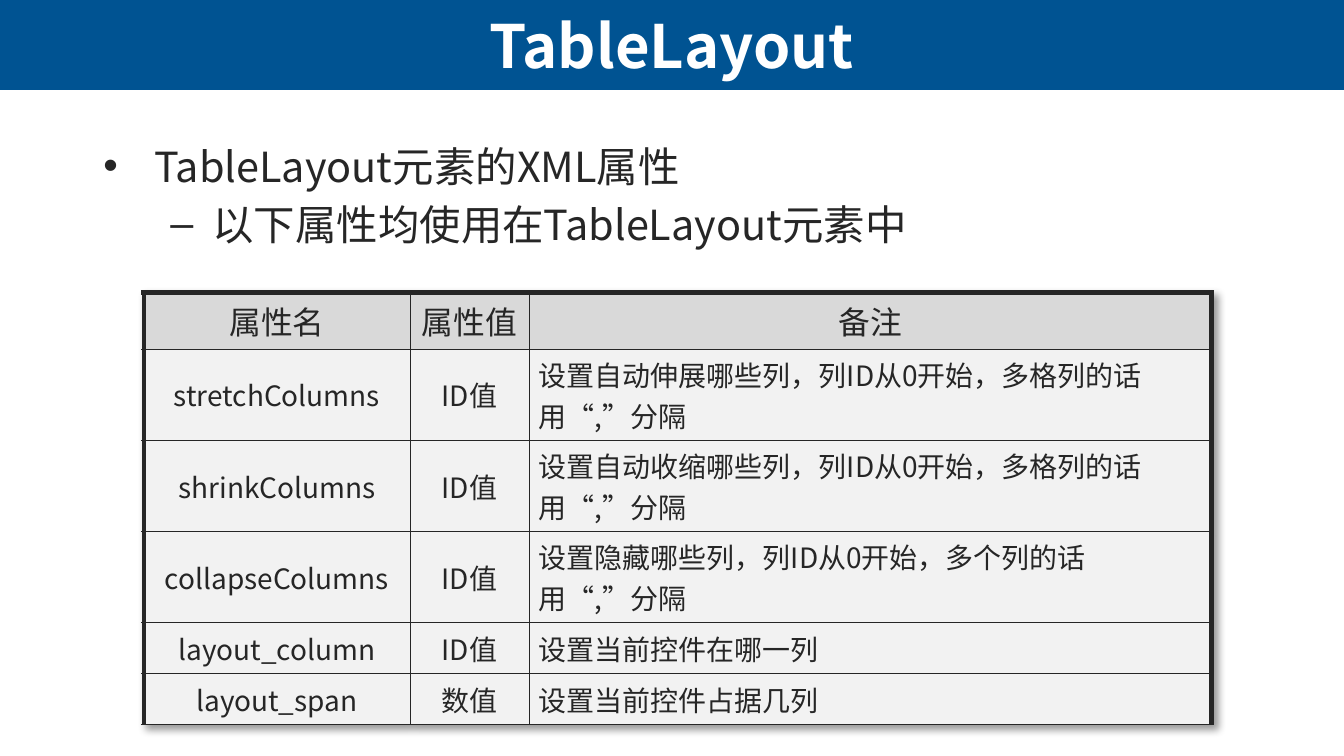
"""Build a slide that lists the XML attributes of TableLayout in a table."""
from dataclasses import dataclass

from lxml import etree
from pptx import Presentation
from pptx.dml.color import RGBColor
from pptx.enum.shapes import MSO_SHAPE
from pptx.enum.text import MSO_ANCHOR, MSO_AUTO_SIZE, PP_ALIGN
from pptx.oxml.ns import qn
from pptx.util import Emu, Pt

RECT = MSO_SHAPE.RECTANGLE
MIDDLE = MSO_ANCHOR.MIDDLE
TOP = MSO_ANCHOR.TOP
FIXED = MSO_AUTO_SIZE.NONE
LEFT = PP_ALIGN.LEFT
CENTER = PP_ALIGN.CENTER

WIDTH, HEIGHT = 1344, 756
SCALE = 9144000 / WIDTH
FONT = "Noto Sans CJK SC"
BLUE = RGBColor(0x00, 0x53, 0x92)
WHITE = RGBColor(0xFF, 0xFF, 0xFF)
INK = RGBColor(0x26, 0x26, 0x26)
SILVER = RGBColor(0xD9, 0xD9, 0xD9)
PALE = RGBColor(0xF2, 0xF2, 0xF2)
THIN, THICK = 0.5, 3


@dataclass(frozen=True)
class Box:
    left: int
    top: int
    width: int
    height: int


@dataclass(frozen=True)
class Point:
    text: str
    level: int
    margin: int
    indent: int


@dataclass(frozen=True)
class Row:
    name: str
    value: str
    note: str
    height: int


BAR = Box(0, 0, WIDTH, 90)
BODY = Box(90, 134, 866, 138)
GRID = Box(144, 293, 1068, 387)
COLUMNS = (266, 119, 683)
LOW, TALL = 51, 77
POINTS = (
    Point("TableLayout元素的XML属性", 0, 51, -51),
    Point("以下属性均使用在TableLayout元素中", 1, 109, -42),
)
ROWS = (
    Row("属性名", "属性值", "备注", LOW),
    Row("stretchColumns", "ID值",
        "设置自动伸展哪些列，列ID从0开始，多格列的话用“,”分隔", TALL),
    Row("shrinkColumns", "ID值",
        "设置自动收缩哪些列，列ID从0开始，多格列的话用“,”分隔", TALL),
    Row("collapseColumns", "ID值",
        "设置隐藏哪些列，列ID从0开始，多个列的话用“,”分隔", TALL),
    Row("layout_column", "ID值", "设置当前控件在哪一列", LOW),
    Row("layout_span", "数值", "设置当前控件占据几列", LOW),
)


def px(length: int) -> Emu:
    """Turn px into EMU."""
    return Emu(round(length * SCALE))


def place(shape, box: Box) -> None:
    """Move a shape into a box."""
    shape.left, shape.top = px(box.left), px(box.top)
    shape.width, shape.height = px(box.width), px(box.height)


def add_run(para, text: str, size: float, color: RGBColor, bold: bool = False) -> None:
    """Add one formatted run to a paragraph."""
    run = para.add_run()
    run.text = text
    font = run.font
    font.size, font.bold, font.name = Pt(size), bold, FONT
    font.color.rgb = color
    east = etree.SubElement(font._element, qn("a:ea"))
    east.set("typeface", FONT)


def draw_title(slide) -> None:
    """Draw the blue bar and the title on it."""
    bar = slide.shapes.add_shape(RECT, *(px(n) for n in (0, 0, BAR.width, BAR.height)))
    bar.shadow.inherit = False
    bar.fill.solid()
    bar.fill.fore_color.rgb = BLUE
    bar.line.fill.background()
    slide.shapes._spTree.insert(2, bar._element)
    title = slide.shapes.title
    place(title, BAR)
    frame = title.text_frame
    frame.auto_size, frame.vertical_anchor = FIXED, MIDDLE
    frame.margin_top = frame.margin_bottom = 0
    para = frame.paragraphs[0]
    para.alignment = CENTER
    add_run(para, "TableLayout", 32, WHITE, True)


def draw_body(slide) -> None:
    """Draw the bullet list."""
    body = slide.placeholders[1]
    place(body, BODY)
    frame = body.text_frame
    frame.auto_size, frame.vertical_anchor = FIXED, TOP
    for i, point in enumerate(POINTS):
        para = frame.add_paragraph() if i else frame.paragraphs[0]
        para.level = point.level
        props = para._p.get_or_add_pPr()
        props.set("marL", str(px(point.margin)))
        props.set("indent", str(px(point.indent)))
        add_run(para, point.text, 22.2, INK)


def add_fill(parent, color: RGBColor):
    """Add a solid colour and return its colour element."""
    fill = etree.SubElement(parent, qn("a:solidFill"))
    return etree.SubElement(fill, qn("a:srgbClr"), val=str(color))


def set_edges(cell, widths: dict[str, float]) -> None:
    """Draw the cell borders, ahead of the fill."""
    props = cell._tc.get_or_add_tcPr()
    for i, (side, width) in enumerate(widths.items()):
        line = etree.Element(qn(f"a:ln{side}"), w=str(Pt(width)))
        add_fill(line, INK)
        props.insert(i, line)


def add_shade(table) -> None:
    """Give the table a soft shadow to the lower right."""
    props = table._tbl.tblPr
    effect = etree.Element(qn("a:effectLst"))
    shade = etree.SubElement(
        effect, qn("a:outerShdw"), blurRad=str(Pt(4)), dist=str(Pt(3)),
        dir="2700000", algn="tl", rotWithShape="0")
    color = etree.SubElement(shade, qn("a:srgbClr"), val="000000")
    etree.SubElement(color, qn("a:alpha"), val="40000")
    props.insert(0, effect)


def draw_cell(cell, text: str, row: int, col: int) -> None:
    """Fill and format one cell by its place in the grid."""
    head, last = row == 0, col == len(COLUMNS) - 1
    cell.fill.solid()
    cell.fill.fore_color.rgb = SILVER if head else PALE
    cell.vertical_anchor = MIDDLE
    cell.margin_left = cell.margin_right = px(10)
    cell.margin_top = cell.margin_bottom = px(5)
    para = cell.text_frame.paragraphs[0]
    para.alignment = LEFT if last and not head else CENTER
    add_run(para, text, 17 if head else 15, INK)
    set_edges(cell, {
        "L": THICK if col == 0 else THIN,
        "R": THICK if last else THIN,
        "T": THICK if head else THIN,
        "B": THIN,
    })


def draw_table(slide) -> None:
    """Draw the table of attributes."""
    frame = slide.shapes.add_table(
        len(ROWS), len(COLUMNS), px(GRID.left), px(GRID.top),
        px(GRID.width), px(GRID.height))
    table = frame.table
    table.horz_banding = False
    add_shade(table)
    for col, width in enumerate(COLUMNS):
        table.columns[col].width = px(width)
    for i, row in enumerate(ROWS):
        table.rows[i].height = px(row.height)
        for col, text in enumerate((row.name, row.value, row.note)):
            draw_cell(table.cell(i, col), text, i, col)


def main() -> None:
    """Build and save the slide."""
    deck = Presentation()
    deck.slide_width, deck.slide_height = px(WIDTH), px(HEIGHT)
    slide = deck.slides.add_slide(deck.slide_layouts[1])
    draw_title(slide)
    draw_body(slide)
    draw_table(slide)
    deck.save("out.pptx")


if __name__ == "__main__":
    main()
